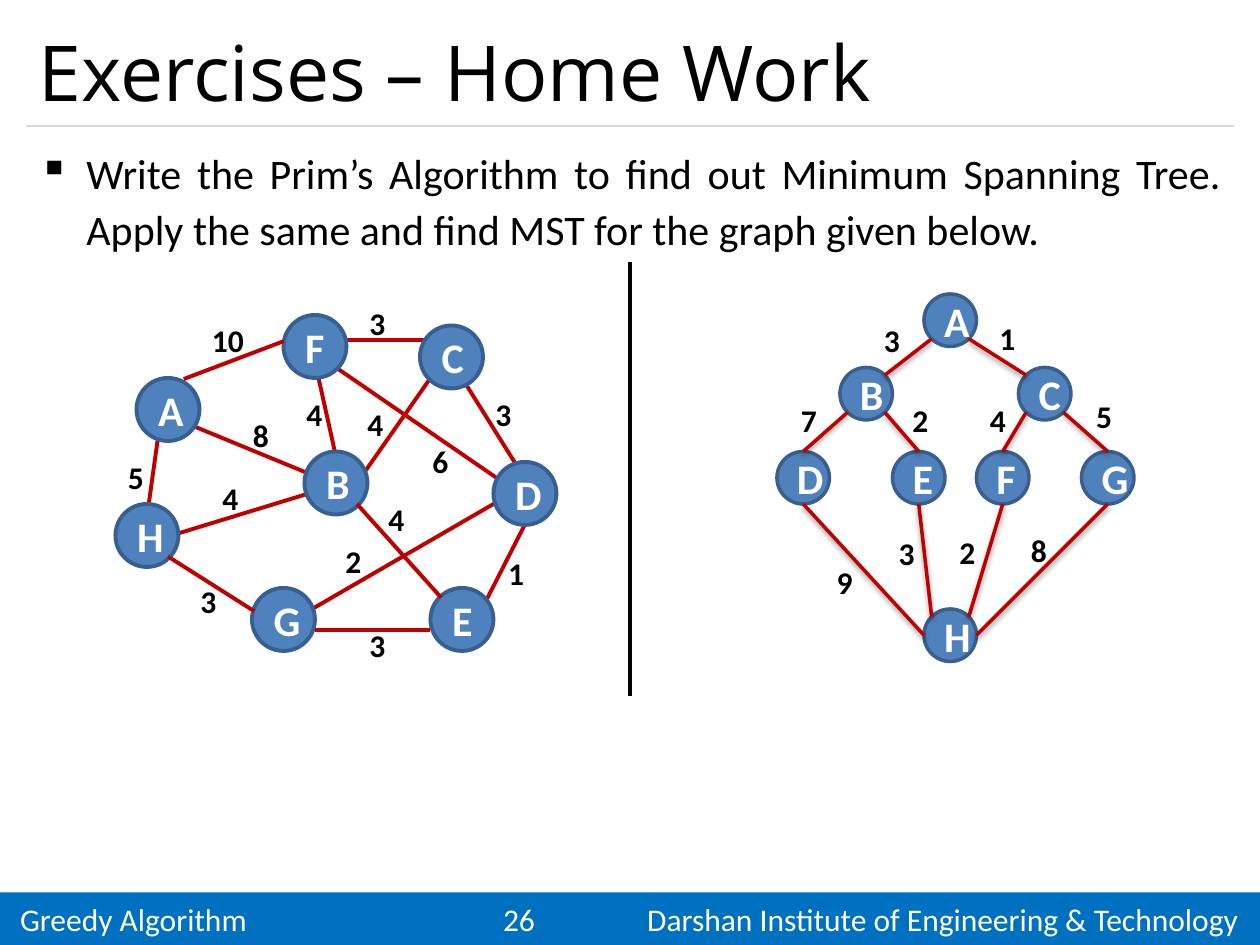
"""Build the Prim's algorithm exercise slide with two weighted graphs."""
import math

from lxml import etree
from pptx import Presentation
from pptx.dml.color import RGBColor
from pptx.enum.shapes import MSO_CONNECTOR, MSO_SHAPE
from pptx.enum.text import MSO_ANCHOR, PP_ALIGN
from pptx.oxml.ns import qn
from pptx.util import Inches, Pt

STRAIGHT = MSO_CONNECTOR.STRAIGHT
RECT, OVAL = MSO_SHAPE.RECTANGLE, MSO_SHAPE.OVAL
TOP, MIDDLE = MSO_ANCHOR.TOP, MSO_ANCHOR.MIDDLE
LEFT, CENTER, JUSTIFY = PP_ALIGN.LEFT, PP_ALIGN.CENTER, PP_ALIGN.JUSTIFY

BLACK, WHITE, RED, BLUE, BAR = "000000", "FFFFFF", "C00000", "4F81BD", "0070C0"
COLS, ROWS = 120, 90
SITES = {"t": 270, "tl": 225, "l": 180, "bl": 135, "b": 90, "br": 45, "r": 0, "tr": 315}

LEFT_NODES = {"A": (13, 36), "H": (11, 48), "B": (29, 43), "F": (27, 30),
              "E": (41, 56), "D": (47, 44), "C": (40, 31), "G": (24, 56)}
EDGES_BEHIND = [
    (51.5, 47, 46.4, 57), (30, 34.5, 32, 43.5), (34, 46, 41, 36), (48, 46, 32, 35),
    (16, 51.1, 29.4, 47), (28, 59, 47, 48), (14, 49.2, 15, 42), (17, 40, 29.4, 45.1),
    (32.6, 32.4, 40.6, 32.4), (44, 36, 49, 44)]
EDGES_FRONT = [(34, 48, 42, 56.9), (41, 60, 30, 60), (24.2, 58.2, 16, 53), (17.5, 36.1, 27, 32.5)]
LEFT_WEIGHTS = [
    ("5", 11, 43), ("1", 47.2, 52.2), ("3", 34, 59), ("2", 31.7, 51), ("4", 35.8, 47),
    ("6", 40, 41.5), ("3", 46, 37), ("4", 33.8, 38), ("8", 22.9, 39), ("4", 20, 45),
    ("3", 17.9, 54.8), ("10", 19, 30), ("3", 34, 28.4), ("4", 28, 37)]

RIGHT_NODES = {"A": (88, 28), "B": (80, 35), "C": (97, 35), "D": (74, 43),
               "E": (85, 43), "F": (93, 43), "G": (103, 43), "H": (88, 58)}
RIGHT_EDGES = [
    ("A", "bl", "B", "tr"), ("A", "br", "C", "tl"), ("B", "bl", "D", "t"), ("B", "br", "E", "t"),
    ("C", "bl", "F", "t"), ("C", "br", "G", "t"), ("D", "b", "H", "l"), ("E", "b", "H", "tl"),
    ("F", "b", "H", "tr"), ("G", "b", "H", "r")]
RIGHT_WEIGHTS = [
    ("3", 83, 30), ("1", 94, 29.8), ("5", 103.2, 37.2), ("7", 75.1, 37.6), ("2", 85.7, 37.6),
    ("4", 93.1, 37.6), ("9", 78.5, 53), ("3", 84.4, 50.3), ("2", 90.2, 50.2), ("8", 97, 50)]


def color(hex_text):
    """Turn a hex string into a colour."""
    return RGBColor.from_string(hex_text)


class Deck:
    """Holds the style and current slide; lengths are grid columns and rows."""

    def __init__(self):
        self.prs = Presentation()
        self.prs.slide_width, self.prs.slide_height = Inches(10), Inches(7.5)
        self.s = self.prs.slides.add_slide(self.prs.slide_layouts[6])
        self.font = "Calibri"

    def cells(self, *values):
        """Convert alternating columns and rows to slide lengths."""
        units = self.prs.slide_width / COLS, self.prs.slide_height / ROWS
        return [round(v * units[i % 2]) for i, v in enumerate(values)]

    def label(self, sp, text, size, hue=BLACK, bold=False, align=LEFT, anchor=TOP, font=None):
        """Fill a shape with one styled paragraph."""
        tf = sp.text_frame
        tf.word_wrap, tf.vertical_anchor = True, anchor
        p = tf.paragraphs[0]
        p.text, p.alignment = text, align
        p.font.name, p.font.size, p.font.bold = font or self.font, Pt(size), bold
        p.font.color.rgb = color(hue)
        return p

    def text(self, box, text, size, **style):
        """Add a text box."""
        return self.label(self.s.shapes.add_textbox(*self.cells(*box)), text, size, **style)

    def bullet(self, box, text, size):
        """Add a justified paragraph with a square bullet."""
        p = self.text(box, text, size, align=JUSTIFY)
        p.line_spacing, p.space_after = 1.1, Pt(6)
        pPr = p._p.get_or_add_pPr()
        pPr.set("marL", str(Inches(0.38)))
        pPr.set("indent", str(-Inches(0.38)))
        pPr.find(qn("a:defRPr")).addprevious(etree.Element(qn("a:buChar"), char="▪"))

    def shape(self, kind, box, fill, line=None, width=0):
        """Add a flat preset shape."""
        sp = self.s.shapes.add_shape(kind, *self.cells(*box))
        sp.fill.solid()
        sp.fill.fore_color.rgb = color(fill)
        if line:
            sp.line.color.rgb, sp.line.width = color(line), Pt(width)
        else:
            sp.line.fill.background()
        sp.shadow.inherit = False
        return sp

    def footer(self, parts):
        """Add the bottom bar with left, centred and right text."""
        sp = self.shape(RECT, (0, 85, COLS, 5), BAR)
        effects = sp._element.spPr.find(qn("a:effectLst"))
        shadow = etree.SubElement(effects, qn("a:outerShdw"), blurRad=str(Pt(4)), dist=str(Pt(3)),
                                  dir="2700000", algn="tl", rotWithShape="0")
        tone = etree.SubElement(shadow, qn("a:srgbClr"), val=BLACK)
        etree.SubElement(tone, qn("a:alpha"), val="40000")
        tf = sp.text_frame
        tf.margin_left, tf.margin_right = Inches(0.16), 0
        tabs = etree.SubElement(tf.paragraphs[0]._p.get_or_add_pPr(), qn("a:tabLst"))
        for at, side in ((3.96, "ctr"), (9.67, "r")):
            etree.SubElement(tabs, qn("a:tab"), pos=str(Inches(at)), algn=side)
        self.label(sp, "\t".join(parts), 18, WHITE, anchor=MIDDLE)

    def line(self, ends, hue, width, shadow=False):
        """Add a straight line."""
        c = self.s.shapes.add_connector(STRAIGHT, *self.cells(*ends))
        c.line.color.rgb, c.line.width = color(hue), Pt(width)
        if not shadow:
            etree.SubElement(c._element.spPr, qn("a:effectLst"))

    def nodes(self, spots, size, line, width, align, wrap):
        """Add the labelled circles of a graph."""
        for name, (x, y) in spots.items():
            sp = self.shape(OVAL, (x, y, size, size), BLUE, line, width)
            self.label(sp, name, 24, WHITE, True, align, MIDDLE)
            sp.text_frame.word_wrap = wrap

    def weights(self, items):
        """Add the edge weights of a graph."""
        for weight, x, y in items:
            self.text((x, y, 2 + 2 * len(weight), 4.8), weight, 18, bold=True)


def rim(spot, site, size):
    """Return a connection site on a circle."""
    angle = math.radians(SITES[site])
    return (spot[0] + size / 2 * (1 + math.cos(angle)),
            spot[1] + size / 2 * (1 + math.sin(angle)))


def main():
    """Compose and save the slide."""
    d = Deck()
    d.footer(["Greedy Algorithm", "26", "Darshan Institute of Engineering & Technology"])
    d.line((2.5, 12, 117.5, 12), "D9D9D9", 0.75)
    d.text((2.5, 1.5, 115, 10.5), "Exercises – Home Work", 44, anchor=MIDDLE, font="Open Sans")
    d.bullet((2.5, 13, 115, 70), "Write the Prim’s Algorithm to find out Minimum Spanning Tree. "
             "Apply the same and find MST for the graph given below.", 24)

    for ends in EDGES_BEHIND:
        d.line(ends, RED, 2.25)
    d.nodes(LEFT_NODES, 6, "376092", 2.25, LEFT, False)
    for ends in EDGES_FRONT:
        d.line(ends, RED, 2.25)
    d.weights(LEFT_WEIGHTS)

    d.line((60, 25, 60, 66.25), BLACK, 2.25)

    d.nodes(RIGHT_NODES, 5, "3A5F8C", 2, CENTER, True)
    for a, start, b, end in RIGHT_EDGES:
        ends = rim(RIGHT_NODES[a], start, 5) + rim(RIGHT_NODES[b], end, 5)
        d.line(ends, RED, 2, shadow=True)
    d.weights(RIGHT_WEIGHTS)
    d.prs.save("out.pptx")


if __name__ == "__main__":
    main()
